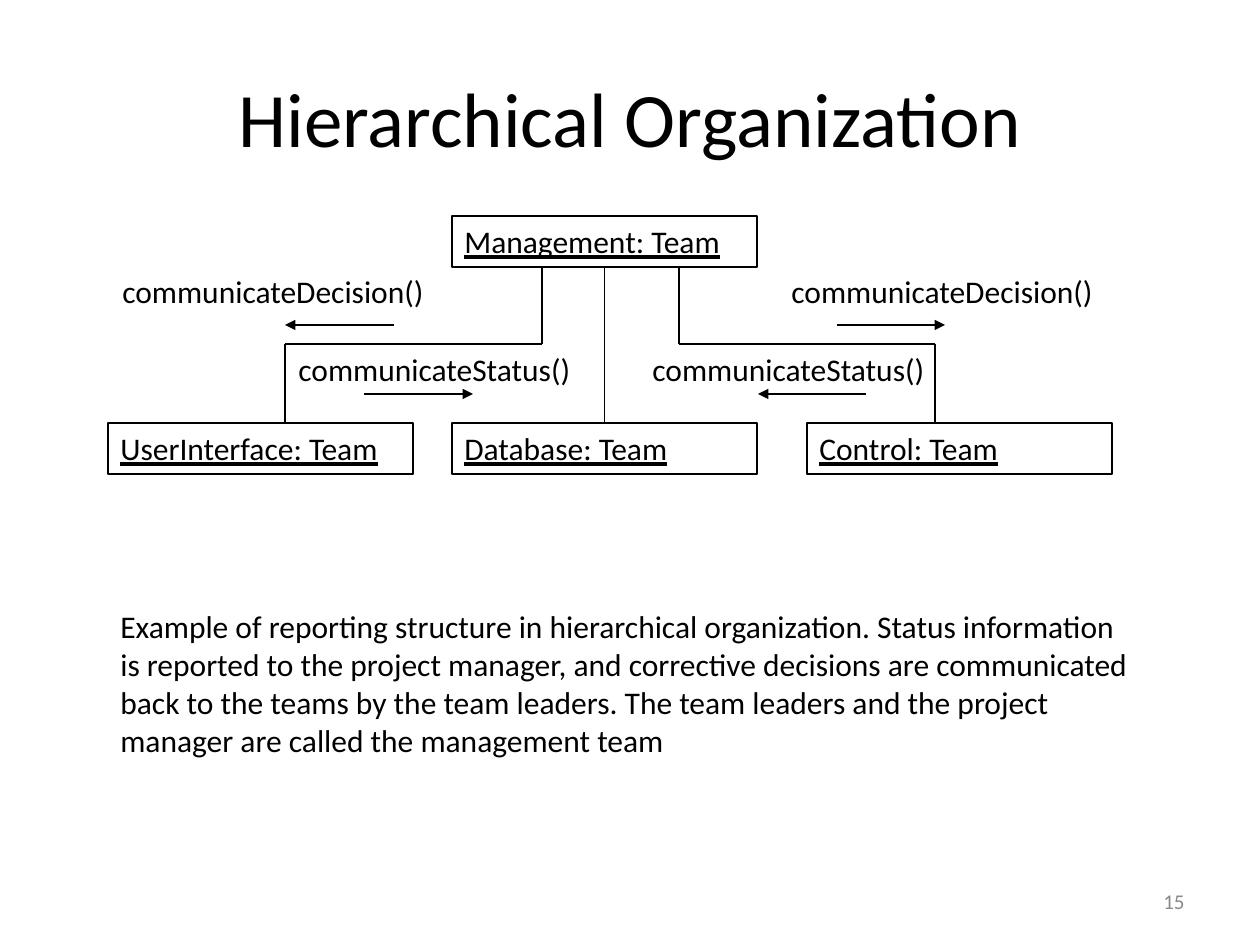
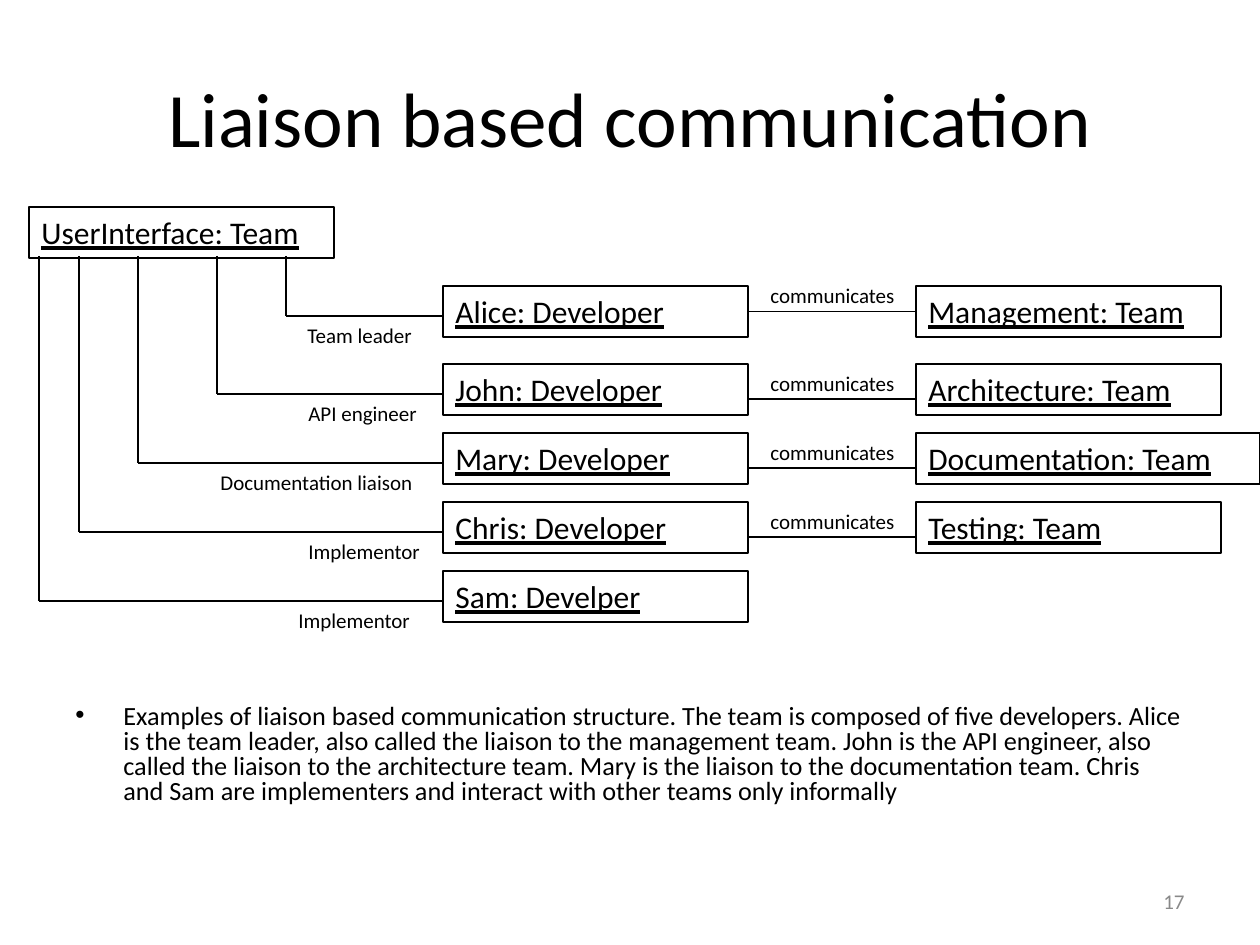
from itertools import pairwise

from lxml import etree
from pptx import Presentation
from pptx.dml.color import RGBColor
from pptx.enum.shapes import MSO_CONNECTOR, MSO_SHAPE
from pptx.enum.text import MSO_ANCHOR, PP_ALIGN
from pptx.oxml.ns import qn
from pptx.util import Pt

STRAIGHT, RECT = MSO_CONNECTOR.STRAIGHT, MSO_SHAPE.RECTANGLE
TOP, MIDDLE = MSO_ANCHOR.TOP, MSO_ANCHOR.MIDDLE
LEFT, CENTER, RIGHT = PP_ALIGN.LEFT, PP_ALIGN.CENTER, PP_ALIGN.RIGHT
BLACK = RGBColor(0x00, 0x00, 0x00)
GREY = RGBColor(0x89, 0x89, 0x89)
FONT = "Calibri"
PX = 914400 / 126
BOX_W, BOX_H = 305, 51
SIDE_TOP, SIDE_LEFT, SIDE_BOTTOM, SIDE_RIGHT = range(4)

# Hierarchy: name, left, top
TEAMS = [
    ("Management: Team", 452, 216),
    ("UserInterface: Team", 108, 423),
    ("Database: Team", 452, 423),
    ("Control: Team", 807, 423),
]
BRANCHES = [(542, 285), (679, 935)]  # x at the manager, x at the team
MESSAGES = [  # text, left, top, width
    ("communicateDecision()", 779, 266, 328),
    ("communicateDecision()", 110, 266, 328),
    ("communicateStatus()", 286, 344, 299),
    ("communicateStatus()", 640, 344, 299),
]
ARROWS = [(364, 473, 394), (837, 945, 325), (394, 285, 325), (866, 758, 394)]
REPORTING = (
    "Example of reporting structure in hierarchical organization. Status "
    "information is reported to the project manager, and corrective decisions "
    "are communicated back to the teams by the team leaders. The team leaders "
    "and the project manager are called the management team"
)

# Liaisons: developer, top, trunk x, (role, left, width), (team, width)
DEVELOPERS = [
    ("Alice: Developer", 286, 286, ("Team leader", 295, 131), ("Management: Team", BOX_W)),
    ("John: Developer", 364, 217, ("API engineer", 296, 134), ("Architecture: Team", BOX_W)),
    ("Mary: Developer", 433, 138, ("Documentation liaison", 208, 218),
     ("Documentation: Team", 344)),
    ("Chris: Developer", 502, 79, ("Implementor", 296, 137), ("Testing: Team", BOX_W)),
    ("Sam: Develper", 571, 39, ("Implementor", 286, 137), None),
]
DEVELOPER_X, TEAM_X, COMMUNICATES_X = 443, 916, 758
LIAISONS = (
    "Examples of liaison based communication structure. The team is composed of "
    "five developers. Alice is the team leader, also called the liaison to the "
    "management team. John is the API engineer, also called the liaison to the "
    "architecture team. Mary is the liaison to the documentation team. Chris and "
    "Sam are implementers and interact with other teams only informally"
)


def emu(*lengths):
    return [round(n * PX) for n in lengths]


def write(shape, text, size=18, color=BLACK, align=LEFT, anchor=TOP, wrap=True,
          underline=None):
    tf = shape.text_frame
    tf.word_wrap, tf.vertical_anchor = wrap, anchor
    p = tf.paragraphs[0]
    p.alignment = align
    r = p.add_run()
    r.text = text
    style = {"name": FONT, "size": Pt(size), "underline": underline}
    for key, value in style.items():
        setattr(r.font, key, value)
    r.font.color.rgb = color
    return p


def add_text(s, text, left, top, width, height, **style):
    sp = s.shapes.add_textbox(*emu(left, top, width, height))
    return write(sp, text, **style)


def add_box(s, text, left, top, width=BOX_W):
    sp = s.shapes.add_shape(RECT, *emu(left, top, width, BOX_H))
    sp.shadow.inherit = False
    sp.fill.background()
    sp.line.color.rgb, sp.line.width = BLACK, Pt(0.75)
    write(sp, text, underline=True)
    return sp


def add_line(s, start, end, arrow=False):
    line = s.shapes.add_connector(STRAIGHT, *emu(*start, *end))
    line.line.color.rgb, line.line.width = BLACK, Pt(0.75)
    etree.SubElement(line._element.spPr, qn("a:effectLst"))
    if arrow:
        etree.SubElement(line.line._get_or_add_ln(), qn("a:tailEnd"), type="triangle")
    return line


def add_path(s, *points):
    for start, end in pairwise(points):
        add_line(s, start, end)


def join(s, first, first_side, second, second_side):
    line = add_line(s, (0, 0), (1, 1))
    line.begin_connect(first, first_side)
    line.end_connect(second, second_side)


def add_slide(prs, title, number):
    s = prs.slides.add_slide(prs.slide_layouts[6])
    add_text(s, title, 63, 38, 1134, 158, size=44, align=CENTER, anchor=MIDDLE)
    add_text(s, number, 903, 876, 294, 50, size=12, color=GREY, align=RIGHT,
             anchor=MIDDLE)
    return s


def hierarchy_slide(prs):
    s = add_slide(prs, "Hierarchical Organization", "15")
    boxes = [add_box(s, *team) for team in TEAMS]
    join(s, boxes[0], SIDE_BOTTOM, boxes[2], SIDE_TOP)
    for manager_x, team_x in BRANCHES:
        add_path(s, (manager_x, 266), (manager_x, 344), (team_x, 344), (team_x, 423))
    for text, left, top, width in MESSAGES:
        add_text(s, text, left, top, width, BOX_H, wrap=False)
    for start_x, end_x, y in ARROWS:
        add_line(s, (start_x, y), (end_x, y), arrow=True)
    add_text(s, REPORTING, 108, 601, 1043, 164)


def liaison_slide(prs):
    s = add_slide(prs, "Liaison based communication", "17")
    add_box(s, "UserInterface: Team", 29, 207)
    for name, top, trunk_x, (role, role_x, role_w), team in DEVELOPERS:
        developer = add_box(s, name, DEVELOPER_X, top)

        # Branch from the team, with the role below it
        branch_y = top + 30
        add_path(s, (trunk_x, 256), (trunk_x, branch_y), (DEVELOPER_X, branch_y))
        add_text(s, role, role_x, branch_y, role_w, 38, size=12, wrap=False)
        if team is None:
            continue

        # Link to the other team; only the leader's runs at mid-height
        team_name, team_w = team
        other = add_box(s, team_name, TEAM_X, top, team_w)
        if top == DEVELOPERS[0][1]:
            link_y = top + BOX_H // 2
            join(s, developer, SIDE_RIGHT, other, SIDE_LEFT)
        else:
            link_y = top + 35
            add_line(s, (DEVELOPER_X + BOX_W, link_y), (TEAM_X, link_y))
        add_text(s, "communicates", COMMUNICATES_X, link_y - 35, 150, 38, size=12,
                 wrap=False)

    # Bulleted explanation
    p = add_text(s, LIAISONS, 63, 699, 1134, 145, size=15)
    p.line_spacing = 0.8
    pPr = p._p.get_or_add_pPr()
    indent = emu(48)[0]
    pPr.set("marL", str(indent))
    pPr.set("indent", str(-indent))
    etree.SubElement(pPr, qn("a:buFont"), typeface="Arial")
    etree.SubElement(pPr, qn("a:buChar"), char="•")


def main():
    prs = Presentation()
    prs.slide_width, prs.slide_height = emu(1260, 945)
    hierarchy_slide(prs)
    liaison_slide(prs)
    prs.save("out.pptx")


if __name__ == "__main__":
    main()
